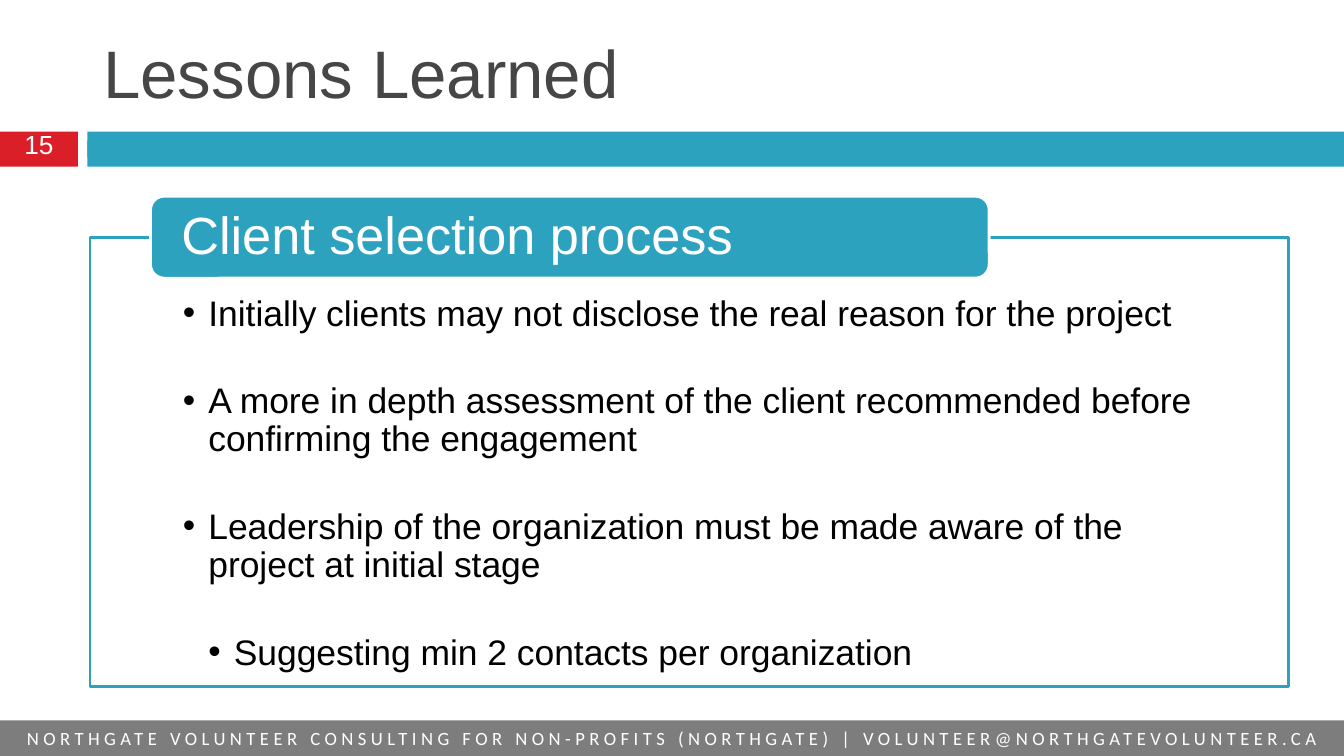
"""Build the Lessons Learned slide on the client selection process."""
from dataclasses import dataclass, field

from lxml.etree import SubElement
from pptx import Presentation
from pptx.dml.color import RGBColor
from pptx.enum.shapes import MSO_SHAPE
from pptx.enum.text import MSO_ANCHOR, PP_ALIGN
from pptx.oxml.ns import qn
from pptx.shapes.autoshape import Shape
from pptx.slide import Slide
from pptx.text.text import _Paragraph
from pptx.util import Inches, Pt

TEAL = RGBColor(0x2D, 0xA2, 0xBF)
RED = RGBColor(0xDA, 0x1F, 0x28)
WHITE = RGBColor(0xFF, 0xFF, 0xFF)
BLACK = RGBColor(0, 0, 0)
CHARCOAL = RGBColor(0x46, 0x46, 0x46)
SLIDE_WIDTH = 10
SLIDE_HEIGHT = SLIDE_WIDTH * 9 / 16
BULLET_INDENT = 0.19


@dataclass(frozen=True)
class Panel:
    left: float
    top: float
    width: float
    height: float
    fill: RGBColor
    opacity: int = 100
    outline: RGBColor | None = None
    preset: MSO_SHAPE = MSO_SHAPE.RECTANGLE


@dataclass(frozen=True)
class TextStyle:
    size: float
    color: RGBColor
    font: str = "Arial"
    tracking: int = 0
    insets: tuple[float, float, float, float] = (0.1, 0.05, 0.1, 0.05)
    frame: dict = field(default_factory=dict)
    paragraph: dict = field(default_factory=dict)


@dataclass(frozen=True)
class Lesson:
    text: str
    level: int = 1


MIDDLE = {"word_wrap": True, "vertical_anchor": MSO_ANCHOR.MIDDLE}
CENTERED = {"alignment": PP_ALIGN.CENTER}
TITLE = TextStyle(36, CHARCOAL, frame=MIDDLE, paragraph={"alignment": PP_ALIGN.LEFT})
NUMBER = TextStyle(14, WHITE, insets=(0, 0, 0, 0), frame=MIDDLE, paragraph=CENTERED)
FOOTER = TextStyle(10, WHITE, "Calibri", 240,
                   frame=MIDDLE | {"word_wrap": False}, paragraph=CENTERED)
HEADING = TextStyle(28, WHITE, insets=(0.2, 0, 0.2, 0), frame=MIDDLE,
                    paragraph={"alignment": PP_ALIGN.LEFT, "line_spacing": 0.9})
BODY = TextStyle(19, BLACK, insets=(0.69, 0.43, 0.69, 0.15),
                 frame={"word_wrap": True, "vertical_anchor": MSO_ANCHOR.TOP},
                 paragraph={"alignment": PP_ALIGN.LEFT, "line_spacing": 0.9,
                            "space_after": Pt(26.3)})

LESSONS = [
    Lesson("Initially clients may not disclose the real reason for the project"),
    Lesson("A more in depth assessment of the client recommended before "
           "confirming the engagement"),
    Lesson("Leadership of the organization must be made aware of the project "
           "at initial stage"),
    Lesson("Suggesting min 2 contacts per organization", 2),
]


def apply(target: object, formats: dict) -> None:
    for name, value in formats.items():
        setattr(target, name, value)


def draw_panel(slide: Slide, panel: Panel) -> Shape:
    shape = slide.shapes.add_shape(
        panel.preset, Inches(panel.left), Inches(panel.top),
        Inches(panel.width), Inches(panel.height))
    shape.shadow.inherit = False
    shape.fill.solid()
    shape.fill.fore_color.rgb = panel.fill
    if panel.opacity < 100:
        color = shape.fill._xPr.find(f"{qn('a:solidFill')}/{qn('a:srgbClr')}")
        SubElement(color, qn("a:alpha"), val=str(panel.opacity * 1000))
    if panel.outline is None:
        shape.line.fill.background()
    else:
        shape.line.color.rgb = panel.outline
        shape.line.width = Pt(1.5)
    return shape


def write(shape: Shape, texts: list[str], style: TextStyle) -> list[_Paragraph]:
    frame = shape.text_frame
    sides = ("margin_left", "margin_top", "margin_right", "margin_bottom")
    apply(frame, style.frame | dict(zip(sides, map(Inches, style.insets))))
    frame.text = "\n".join(texts)
    for paragraph in frame.paragraphs:
        apply(paragraph, style.paragraph)
        run = paragraph.runs[0]
        apply(run.font, {"name": style.font, "size": Pt(style.size)})
        run.font.color.rgb = style.color
        if style.tracking:
            run.font._element.set("spc", str(style.tracking))
    return list(frame.paragraphs)


def add_bullet(paragraph: _Paragraph, level: int) -> None:
    paragraph.level = level
    properties = paragraph._p.get_or_add_pPr()
    properties.set("marL", str(Inches(BULLET_INDENT * level)))
    properties.set("indent", str(-Inches(BULLET_INDENT)))
    SubElement(properties, qn("a:buFont"), typeface="Arial")
    SubElement(properties, qn("a:buChar"), char="•")


def main() -> None:
    presentation = Presentation()
    apply(presentation, {"slide_width": Inches(SLIDE_WIDTH),
                         "slide_height": Inches(SLIDE_HEIGHT)})
    slide = presentation.slides.add_slide(presentation.slide_layouts[6])

    for band_top in (1.05, 0.98):
        draw_panel(slide, Panel(0.65, band_top, 9.35, 0.19, TEAL))
        number_tab = draw_panel(slide, Panel(0, band_top, 0.58, 0.19, RED))
    write(number_tab, ["15"], NUMBER)

    footer = draw_panel(slide, Panel(0, 5.36, SLIDE_WIDTH, 0.27, BLACK, 51))
    write(footer, ["NORTHGATE VOLUNTEER CONSULTING FOR NON-PROFITS (NORTHGATE) | "
                   "VOLUNTEER@NORTHGATEVOLUNTEER.CA"], FOOTER)

    lessons_box = draw_panel(slide, Panel(0.67, 1.77, 8.92, 3.34, WHITE, 90, TEAL))
    paragraphs = write(lessons_box, [lesson.text for lesson in LESSONS], BODY)
    for paragraph, lesson in zip(paragraphs, LESSONS):
        add_bullet(paragraph, lesson.level)

    heading = draw_panel(slide, Panel(1.12, 1.46, 6.24, 0.61, TEAL, outline=WHITE,
                                      preset=MSO_SHAPE.ROUNDED_RECTANGLE))
    write(heading, ["Client selection process"], HEADING)

    title = slide.shapes.add_textbox(Inches(0.67), Inches(0.06),
                                     Inches(6.83), Inches(0.94))
    write(title, ["Lessons Learned"], TITLE)
    presentation.save("out.pptx")


if __name__ == "__main__":
    main()
